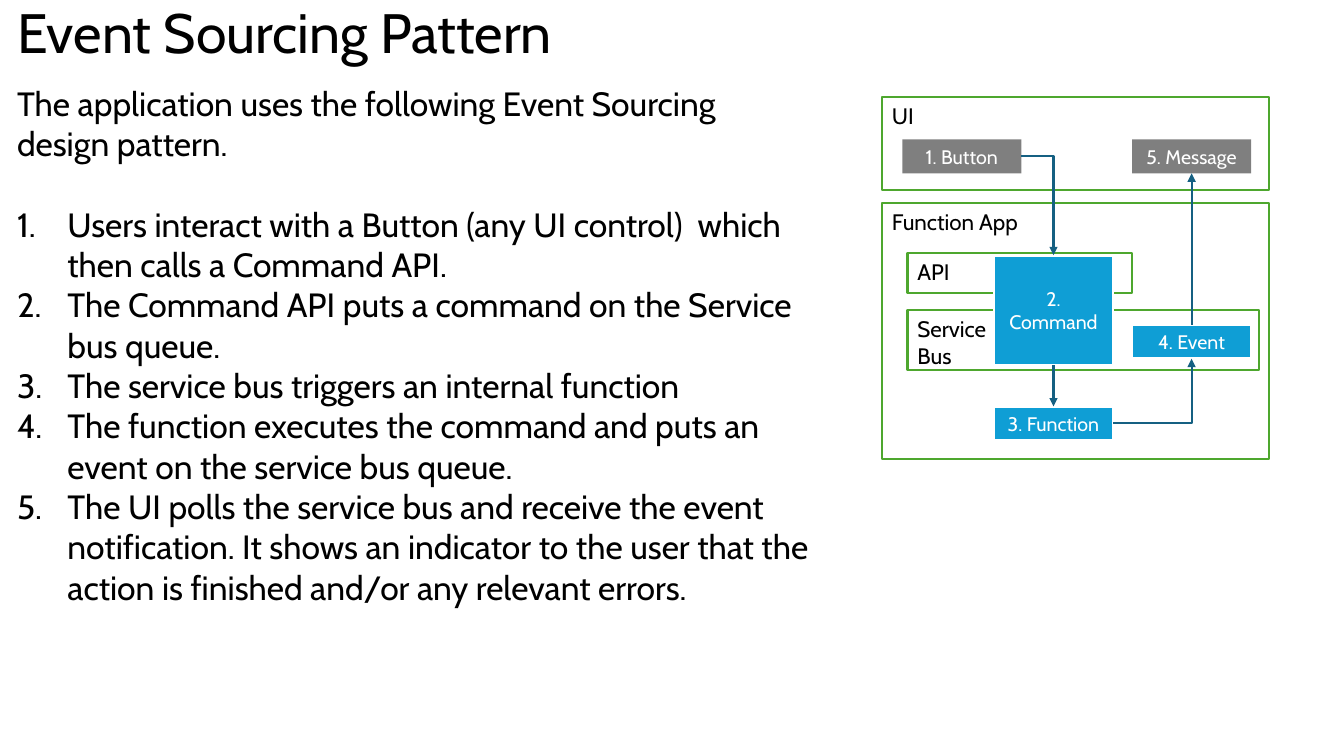
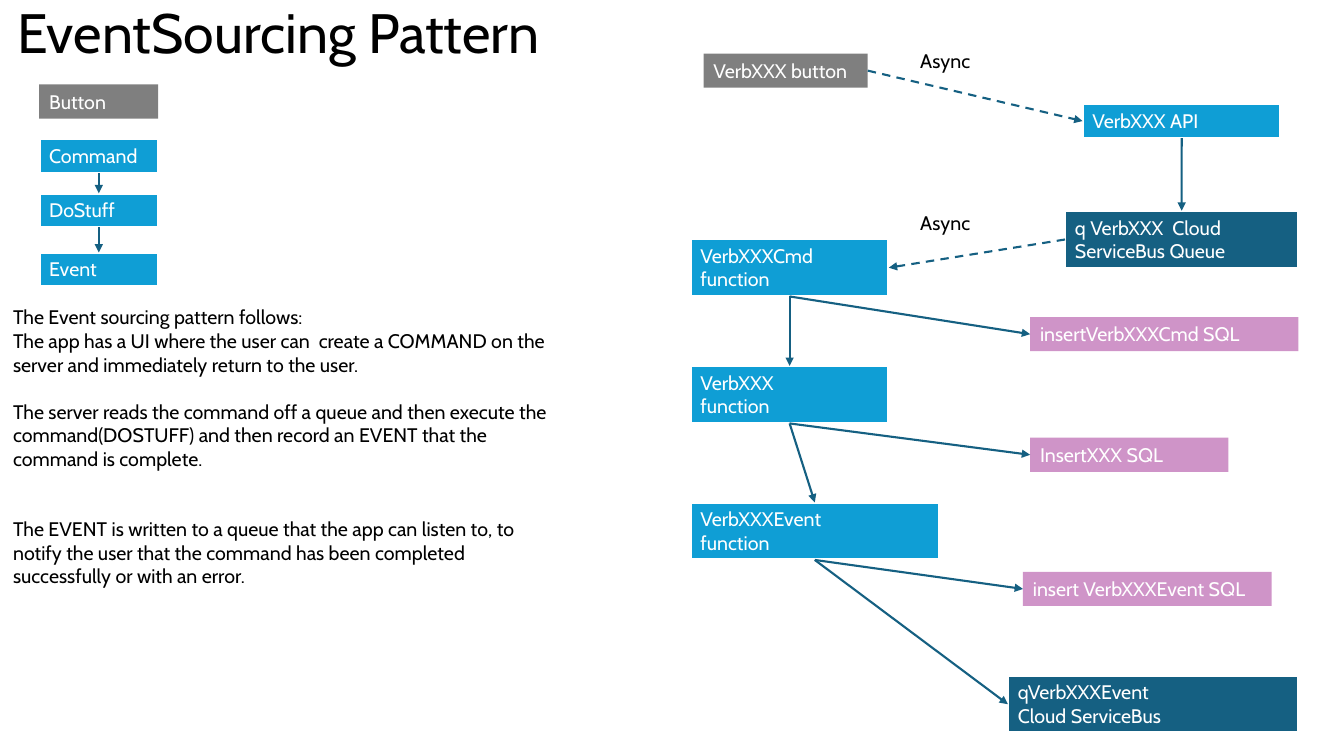
from dataclasses import dataclass

from lxml import etree
from pptx import Presentation
from pptx.dml.color import RGBColor
from pptx.enum import dml, shapes, text
from pptx.oxml.ns import qn
from pptx.util import Cm, Pt

TOP, LEFT, BOTTOM, RIGHT = range(4)


@dataclass(frozen=True)
class Style:
    fill: str
    ink: str = "FFFFFF"
    line: str = ""
    line_width: float = 2
    opacity: int = 100
    size: float = 14


@dataclass(frozen=True)
class Theme:
    font: str = "Cabin"
    ink: str = "000000"
    arrow: str = "156082"
    arrow_width: float = 1.5
    title_size: float = 39.6
    lead_size: float = 24
    small_size: float = 14
    line_height: float = 1.2
    frame: Style = Style("FFFFFF", "000000", "4EA72E", 1.5, size=16)
    control: Style = Style("000000", opacity=50)
    step: Style = Style("0F9ED5", line="FFFFFF")
    queue: Style = Style("156082", line="FFFFFF")
    storage: Style = Style("A02B93", opacity=50)


THEME = Theme()


# Shared helpers
def set_font(para, size, color):
    para.font.name = THEME.font
    para.font.size = Pt(size)
    para.font.color.rgb = RGBColor.from_string(color)


def place(origin, area):
    """Turn an area relative to an origin into lengths on the page."""
    left, top, width, height = area
    return Cm(origin[0] + left), Cm(origin[1] + top), Cm(width), Cm(height)


def add_text(page, origin, area, lines, size):
    """Add paragraphs given as (wording, blank lines before, numbered)."""
    frame = page.shapes.add_textbox(*place(origin, area)).text_frame
    frame.word_wrap = True
    for index, (wording, gap, numbered) in enumerate(lines):
        para = frame.paragraphs[0] if index == 0 else frame.add_paragraph()
        para.text = wording
        if gap:
            para.space_before = Pt(gap * size * THEME.line_height)
        if numbered:
            properties = para._p.get_or_add_pPr()
            properties.set("marL", str(Cm(1.27)))
            properties.set("indent", str(-Cm(1.27)))
            etree.SubElement(properties, qn("a:buAutoNum"), type="arabicPeriod")
        set_font(para, size, THEME.ink)
    return frame


def add_title(page, wording):
    frame = add_text(page, (0.18, 0), (0, 0, 15.95, 1.78),
                     [(wording, 0, False)], THEME.title_size)
    frame.vertical_anchor = text.MSO_ANCHOR.MIDDLE
    frame.paragraphs[0].line_spacing = 0.9


def add_box(page, origin, area, wording, style, centred=False):
    box = page.shapes.add_shape(shapes.MSO_SHAPE.RECTANGLE, *place(origin, area))
    box.shadow.inherit = False
    box.fill.solid()
    box.fill.fore_color.rgb = RGBColor.from_string(style.fill)
    if style.opacity < 100:
        color = box._element.spPr.find(qn("a:solidFill"))[0]
        etree.SubElement(color, qn("a:alpha"), val=str(style.opacity * 1000))
    if style.line:
        box.line.color.rgb = RGBColor.from_string(style.line)
        box.line.width = Pt(style.line_width)
    else:
        box.line.fill.background()
    frame = box.text_frame
    frame.word_wrap = True
    frame.vertical_anchor = (text.MSO_ANCHOR.MIDDLE if centred
                             else text.MSO_ANCHOR.TOP)
    para = frame.paragraphs[0]
    para.text = wording
    para.alignment = text.PP_ALIGN.CENTER if centred else text.PP_ALIGN.LEFT
    set_font(para, style.size, style.ink)
    return box


def add_arrow(page, start, start_side, end, end_side, dashed=False, bent=False):
    kind = shapes.MSO_CONNECTOR.ELBOW if bent else shapes.MSO_CONNECTOR.STRAIGHT
    arrow = page.shapes.add_connector(kind, 0, 0, 0, 0)
    arrow.begin_connect(start, start_side)
    arrow.end_connect(end, end_side)
    arrow.line.color.rgb = RGBColor.from_string(THEME.arrow)
    arrow.line.width = Pt(THEME.arrow_width)
    if dashed:
        arrow.line.dash_style = dml.MSO_LINE.DASH
    properties = arrow._element.spPr
    if bent:  # a single corner
        properties.find(qn("a:prstGeom")).set("prst", "bentConnector2")
    etree.SubElement(properties.find(qn("a:ln")), qn("a:tailEnd"), type="triangle")
    etree.SubElement(properties, qn("a:effectLst"))


# Slide 1
def add_steps(page, origin):
    steps = [
        "Users interact with a Button (any UI control)  which then calls a Command API.",
        "The Command API puts a command on the Service bus queue.",
        "The service bus triggers an internal function",
        "The function executes the command and puts an event on the service bus queue.",
        "The UI polls the service bus and receive the event notification. It shows an "
        "indicator to the user that the action is finished and/or any relevant errors.",
    ]
    lead = "The application uses the following Event Sourcing design pattern."
    lines = [(lead, 0, False)]
    lines += [(step, int(index == 0), True) for index, step in enumerate(steps)]
    add_text(page, origin, (0, 0, 20.57, 15.65), lines, THEME.lead_size)


def add_architecture(page, origin):
    # Frames
    for wording, area in [
        ("UI", (0, 0, 9.75, 2.34)),
        ("Function App", (0, 2.67, 9.75, 6.45)),
        ("API", (0.64, 3.94, 5.66, 1)),
        ("Service\nBus", (0.64, 5.38, 8.86, 1.5)),
    ]:
        add_box(page, origin, area, wording, THEME.frame)

    # Numbered parts
    button, command, function, event, message = [
        add_box(page, origin, (left, top, 3, height), wording, style, centred=True)
        for wording, left, top, height, style in [
            ("1. Button", 0.51, 1.07, 0.86, THEME.control),
            ("2. Command", 2.82, 3.99, 2.77, THEME.step),
            ("3. Function", 2.82, 7.8, 0.86, THEME.step),
            ("4. Event", 6.3, 5.74, 0.86, THEME.step),
            ("5. Message", 6.3, 1.07, 0.86, THEME.control),
        ]
    ]

    # Flow
    add_arrow(page, button, RIGHT, command, TOP, bent=True)
    add_arrow(page, command, BOTTOM, function, TOP)
    add_arrow(page, function, RIGHT, event, BOTTOM, bent=True)
    add_arrow(page, event, TOP, message, BOTTOM)


def build_overview(page):
    add_title(page, "Event Sourcing Pattern")
    add_steps(page, (0.18, 1.96))
    add_architecture(page, (22.23, 2.44))


# Slide 2
def add_chain(page, origin):
    _, command, work, event = [
        add_box(page, origin, (0, top, 3, 0.86), wording, style)
        for wording, top, style in [
            ("Button", 0, THEME.control),
            ("Command", 1.37, THEME.step),
            ("DoStuff", 2.74, THEME.step),
            ("Event", 4.23, THEME.step),
        ]
    ]
    add_arrow(page, command, BOTTOM, work, TOP)
    add_arrow(page, work, BOTTOM, event, TOP)


def add_explanation(page, origin):
    lines = [
        ("The Event sourcing pattern follows:", 0, False),
        ("The app has a UI where the user can  create a COMMAND on the server "
         "and immediately return to the user.", 0, False),
        ("The server reads the command off a queue and then execute the "
         "command(DOSTUFF) and then record an EVENT that the command is complete.",
         1, False),
        ("The EVENT is written to a queue that the app can listen to, to notify the "
         "user that the command has been completed successfully or with an error.",
         2, False),
    ]
    add_text(page, origin, (0, 0, 14.27, 7.44), lines, THEME.small_size)


def add_sequence(page, origin):
    one_line, two_lines = 0.86, 1.45
    (button, api, queue, command, function, event,
     command_sql, function_sql, event_sql, event_queue) = [
        add_box(page, origin, (left, top, width, height), wording, style)
        for wording, left, top, width, height, style in [
            ("VerbXXX button", 0.33, 0, 4.14, one_line, THEME.control),
            ("VerbXXX API", 9.88, 1.27, 5, one_line, THEME.step),
            ("q VerbXXX  Cloud ServiceBus Queue", 9.44, 3.96, 5.88, two_lines,
             THEME.queue),
            ("VerbXXXCmd function", 0, 4.67, 5, two_lines, THEME.step),
            ("VerbXXX\nfunction", 0, 7.87, 5, two_lines, THEME.step),
            ("VerbXXXEvent\nfunction", 0, 11.31, 6.27, two_lines, THEME.step),
            ("insertVerbXXXCmd SQL", 8.56, 6.64, 6.76, one_line, THEME.storage),
            ("InsertXXX SQL", 8.56, 9.68, 5, one_line, THEME.storage),
            ("insert VerbXXXEvent SQL", 8.38, 13.06, 6.27, one_line, THEME.storage),
            ("qVerbXXXEvent\nCloud ServiceBus", 8, 15.67, 7.32, two_lines,
             THEME.queue),
        ]
    ]

    # Asynchronous calls
    add_arrow(page, button, RIGHT, api, LEFT, dashed=True)
    add_arrow(page, queue, LEFT, command, RIGHT, dashed=True)
    for top in (-0.25, 3.84):
        add_text(page, origin, (5.54, top, 3.33, 0.86), [("Async", 0, False)],
                 THEME.small_size)

    # Direct calls
    add_arrow(page, api, BOTTOM, queue, TOP)
    for upper, lower in [(command, function), (function, event)]:
        add_arrow(page, upper, BOTTOM, lower, TOP)
    for source, target in [(command, command_sql), (function, function_sql),
                           (event, event_sql), (event, event_queue)]:
        add_arrow(page, source, BOTTOM, target, LEFT)


def build_detail(page):
    add_title(page, "EventSourcing Pattern")
    add_chain(page, (0.99, 2.13))
    add_explanation(page, (0.08, 7.57))
    add_sequence(page, (17.4, 1.35))


def main():
    deck = Presentation()
    deck.slide_width, deck.slide_height = Cm(33.87), Cm(19.05)
    for build in (build_overview, build_detail):
        build(deck.slides.add_slide(deck.slide_layouts[6]))
    deck.save("out.pptx")


if __name__ == "__main__":
    main()
